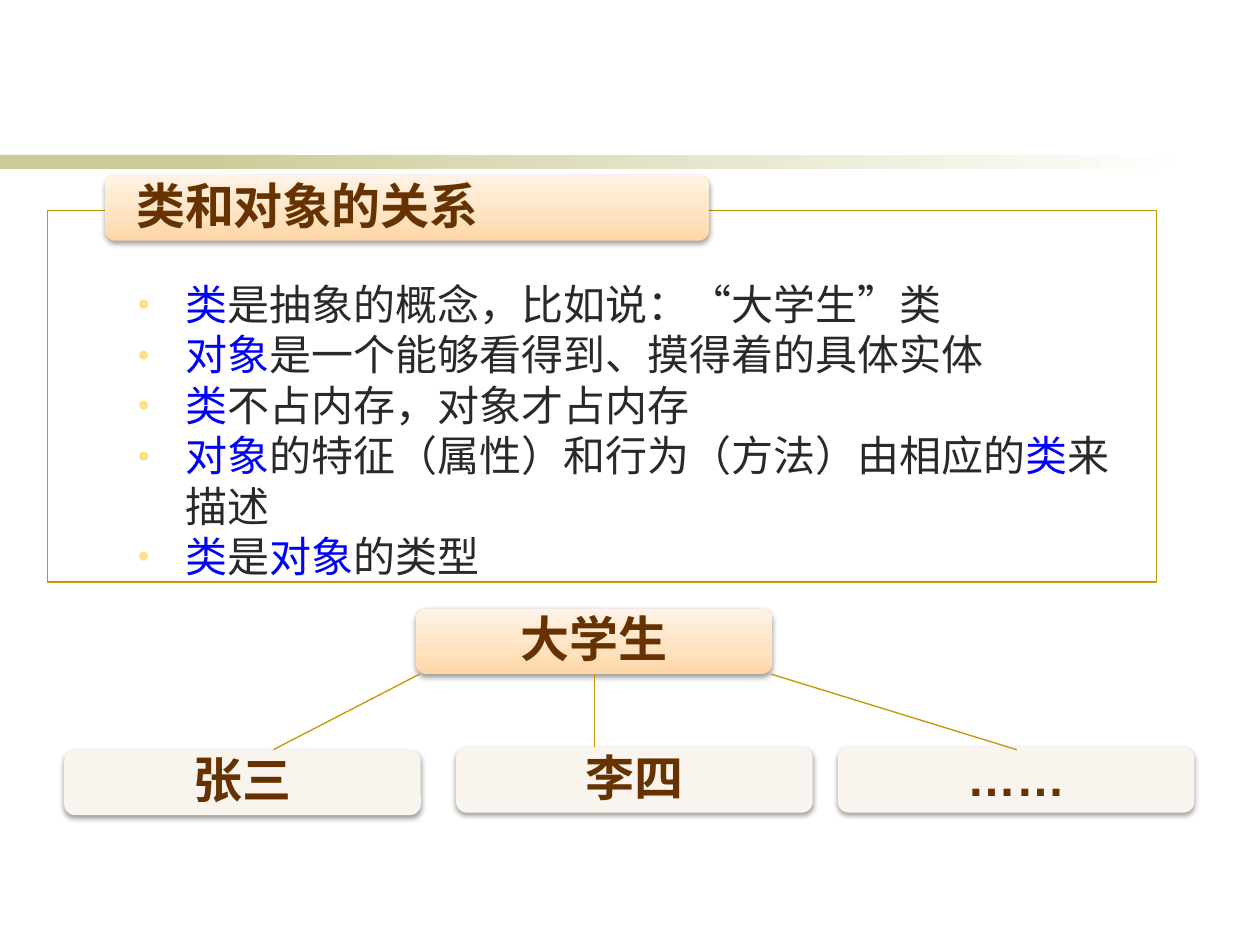
from pptx import Presentation
from pptx.dml.color import RGBColor
from pptx.enum.shapes import MSO_CONNECTOR, MSO_SHAPE
from pptx.enum.text import MSO_ANCHOR, MSO_AUTO_SIZE, PP_ALIGN
from pptx.oxml import parse_xml
from pptx.oxml.ns import nsdecls, qn
from pptx.util import Inches, Pt

WHITE = RGBColor(0xFF, 0xFF, 0xFF)
OLIVE = RGBColor(0xCC, 0xCC, 0x99)
GOLD = RGBColor(0xC8, 0x96, 0x00)
BULLET = RGBColor(0xFF, 0xE0, 0x85)
BLUE = RGBColor(0x00, 0x00, 0xFF)
DARK = RGBColor(0x29, 0x29, 0x29)
BROWN = RGBColor(0x66, 0x33, 0x00)
CREAM = RGBColor(0xF9, 0xF4, 0xEE)
FADE = [(0, OLIVE), (100, WHITE)]
ORANGE = [(0, RGBColor(0xFF, 0xD6, 0xA5)), (35, RGBColor(0xFF, 0xE2, 0xBF)),
          (100, RGBColor(0xFF, 0xF3, 0xE7))]

BOX_WIDTH, BOX_HEIGHT = 2.83, 0.52

# Each bullet is a list of (text, colour) runs
BULLETS = [
    [("类", BLUE), ("是抽象的概念，比如说：“大学生”类", DARK)],
    [("对象", BLUE), ("是一个能够看得到、摸得着的具体实体", DARK)],
    [("类", BLUE), ("不占内存，对象才占内存", DARK)],
    [("对象", BLUE), ("的特征（属性）和行为（方法）由相应的", DARK),
     ("类", BLUE), ("来描述", DARK)],
    [("类", BLUE), ("是", DARK), ("对象", BLUE), ("的类型", DARK)],
]
INSTANCES = [("……", 6.65, 5.93), ("李四", 3.62, 5.93), ("张三", 0.51, 5.95)]
LINKS = [((3.33, 5.35), (2.17, 5.95)), ((4.72, 5.35), (4.72, 5.93)),
         ((6.12, 5.35), (8.07, 5.95))]


class SlideBuilder:
    font = "Arial"

    def __init__(self, slide):
        self.slide = slide
        self.shapes = slide.shapes

    def shape(self, kind, left, top, width, height, fill, angle=0):
        """Add a preset shape; fill is one colour or a list of gradient stops."""
        shape = self.shapes.add_shape(
            kind, Inches(left), Inches(top), Inches(width), Inches(height))
        shape.shadow.inherit = False
        shape.line.fill.background()
        if isinstance(fill, list):
            shape.fill.gradient()
            shape.fill.gradient_angle = angle
            stops = shape.element.spPr.find(".//" + qn("a:gsLst"))
            stops.clear()
            for position, colour in fill:
                stops.append(parse_xml(
                    f'<a:gs {nsdecls("a")} pos="{position * 1000}">'
                    f'<a:srgbClr val="{colour}"/></a:gs>'))
        else:
            shape.fill.solid()
            shape.fill.fore_color.rgb = fill
        return shape

    def panel(self, left, top, width, height):
        panel = self.shape(MSO_SHAPE.RECTANGLE, left, top, width, height, WHITE)
        colour = panel.element.spPr.find(qn("a:solidFill"))[0]
        colour.append(parse_xml(f'<a:alpha {nsdecls("a")} val="90000"/>'))
        panel.line.color.rgb = GOLD
        panel.line.width = Pt(0.75)

    def place(self, shape, left, top, width, height):
        """Move a placeholder and bring it to the front."""
        shape.left, shape.top = Inches(left), Inches(top)
        shape.width, shape.height = Inches(width), Inches(height)
        shape.element.getparent().append(shape.element)

    def frame(self, shape, anchor, side, top=0, bottom=0):
        frame = shape.text_frame
        frame.word_wrap = True
        frame.auto_size = MSO_AUTO_SIZE.NONE
        frame.vertical_anchor = anchor
        frame.margin_left = frame.margin_right = Inches(side)
        frame.margin_top, frame.margin_bottom = Inches(top), Inches(bottom)
        return frame

    def run(self, paragraph, text, size, colour, bold=False):
        run = paragraph.add_run()
        run.text = text
        run.font.name = self.font
        run.font.size = Pt(size)
        run.font.bold = bold
        run.font.color.rgb = colour

    def box(self, text, left, top, fill, width=BOX_WIDTH, label=None,
            align=PP_ALIGN.CENTER):
        """Add a raised rounded box with its label on top."""
        box = self.shape(MSO_SHAPE.ROUNDED_RECTANGLE, left, top, width,
                         BOX_HEIGHT, fill, angle=90)
        box.element.spPr.find(qn("a:effectLst")).append(parse_xml(
            f'<a:outerShdw {nsdecls("a")} blurRad="{Pt(3.1)}" dist="{Pt(1.6)}" '
            'dir="5400000" rotWithShape="0"><a:srgbClr val="000000">'
            '<a:alpha val="38000"/></a:srgbClr></a:outerShdw>'))
        area = (left + 0.01, top + 0.03, width - 0.02, BOX_HEIGHT - 0.05)
        if label is None:
            label = self.shapes.add_textbox(*(Inches(value) for value in area))
        else:
            self.place(label, *area)
        frame = self.frame(label, MSO_ANCHOR.MIDDLE, 0.24)
        paragraph = frame.paragraphs[0]
        paragraph.alignment = align
        paragraph.line_spacing = 0.9
        paragraph.space_before, paragraph.space_after = Pt(0), Pt(10)
        self.run(paragraph, text, 28, BROWN, bold=True)

    def bullets(self, items, left, top, width, height):
        body = self.slide.placeholders[1]
        self.place(body, left, top, width, height)
        frame = self.frame(body, MSO_ANCHOR.TOP, 0.72, top=0.36, bottom=0.16)
        for index, runs in enumerate(items):
            paragraph = frame.add_paragraph() if index else frame.paragraphs[0]
            paragraph.space_before = Pt(0)
            properties = paragraph._p.get_or_add_pPr()
            properties.set("marL", str(Inches(0.38)))
            properties.set("indent", str(-Inches(0.38)))
            for xml in (f'<a:buClr {nsdecls("a")}><a:srgbClr val="{BULLET}"/></a:buClr>',
                        f'<a:buSzPct {nsdecls("a")} val="50000"/>',
                        f'<a:buFont {nsdecls("a")} typeface="{self.font}"/>',
                        f'<a:buChar {nsdecls("a")} char="●"/>'):
                properties.append(parse_xml(xml))
            for text, colour in runs:
                self.run(paragraph, text, 24, colour)

    def link(self, start, end):
        line = self.shapes.add_connector(
            MSO_CONNECTOR.STRAIGHT, *(Inches(value) for value in start + end))
        line.line.color.rgb = GOLD
        line.line.width = Pt(0.75)
        line.element.spPr.append(parse_xml(f'<a:effectLst {nsdecls("a")}/>'))


def main():
    presentation = Presentation()
    presentation.slide_width, presentation.slide_height = Inches(10), Inches(7.5)
    slide = presentation.slides.add_slide(presentation.slide_layouts[1])
    builder = SlideBuilder(slide)

    # Header band
    builder.shape(MSO_SHAPE.RECTANGLE, 0, 1.23, 2.33, 0.11, OLIVE)
    builder.shape(MSO_SHAPE.RECTANGLE, 1.58, 1.23, 7.92, 0.11, FADE)

    # Panel with bullets and title
    builder.panel(0.38, 1.67, 8.8, 2.95)
    builder.bullets(BULLETS, 0.37, 1.85, 9.43, 3.24)
    builder.box("类和对象的关系", 0.83, 1.39, ORANGE, width=4.8,
                label=slide.shapes.title, align=PP_ALIGN.LEFT)

    # Class and its instances
    builder.box("大学生", 3.3, 4.83, ORANGE)
    for text, left, top in INSTANCES:
        builder.box(text, left, top, CREAM)
    for start, end in LINKS:
        builder.link(start, end)

    presentation.save("out.pptx")


if __name__ == "__main__":
    main()
